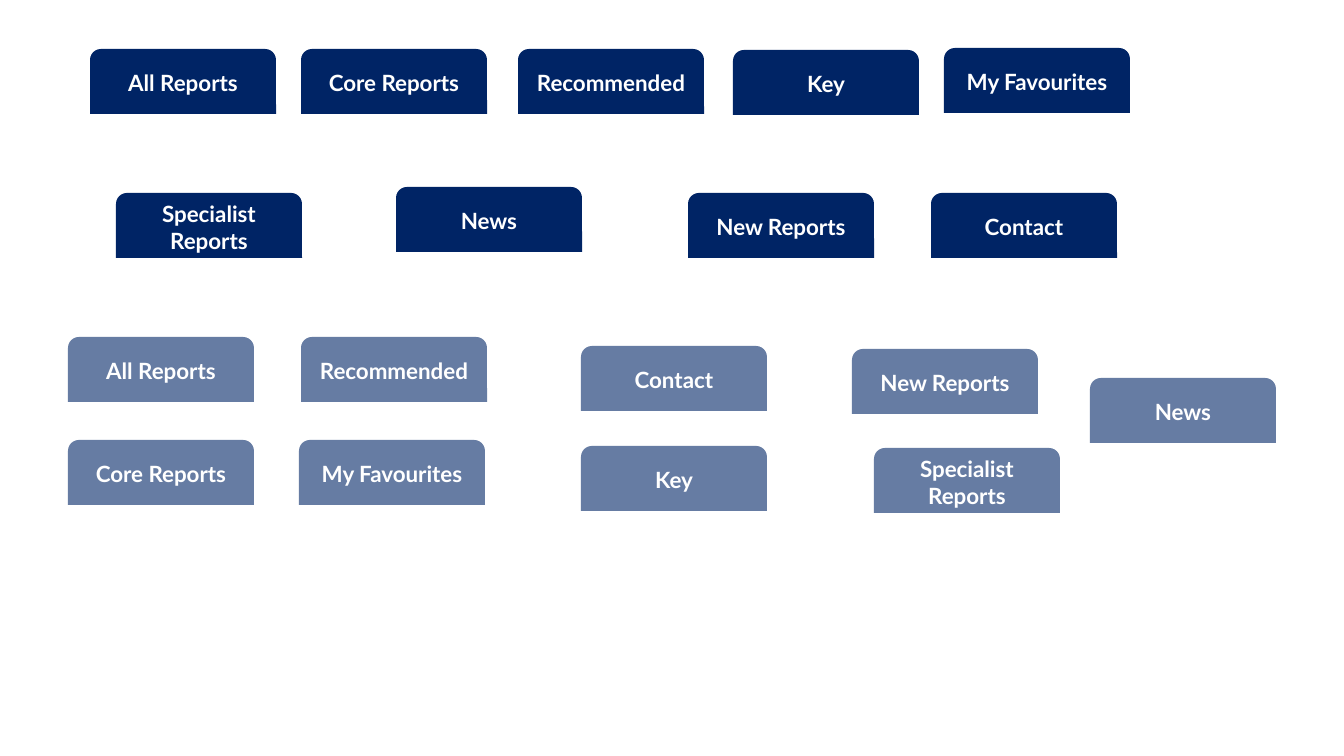
from pptx import Presentation
from pptx.dml.color import RGBColor
from pptx.enum.shapes import MSO_SHAPE
from pptx.enum.text import MSO_ANCHOR, PP_ALIGN
from pptx.util import Emu, Pt

NAVY = RGBColor(0x00, 0x24, 0x65)
SLATE = RGBColor(0x66, 0x7C, 0xA3)
WHITE = RGBColor(0xFF, 0xFF, 0xFF)

ACTIVE_TABS = [
    ("All Reports", 90, 49),
    ("Core Reports", 301, 49),
    ("Recommended", 518, 49),
    ("Key", 733, 50),
    ("My Favourites", 944, 48),
    ("Specialist Reports", 116, 193),
    ("News", 396, 187),
    ("New Reports", 688, 193),
    ("Contact", 931, 193),
]
INACTIVE_TABS = [
    ("All Reports", 68, 337),
    ("Recommended", 301, 337),
    ("Contact", 581, 346),
    ("New Reports", 852, 349),
    ("News", 1090, 378),
    ("Core Reports", 68, 440),
    ("My Favourites", 299, 440),
    ("Key", 581, 446),
    ("Specialist Reports", 874, 448),
]
TAB_GROUPS = [(NAVY, ACTIVE_TABS), (SLATE, INACTIVE_TABS)]

SLIDE_WIDTH, SLIDE_HEIGHT = 1344, 756
TAB_WIDTH, TAB_HEIGHT = 186, 65
EMU_PER_PX = 914400 / 100.8


def px(length):
    return Emu(round(length * EMU_PER_PX))


def add_tab(slide, label, left, top, color):
    shape = slide.shapes.add_shape(
        MSO_SHAPE.ROUND_2_SAME_RECTANGLE,
        px(left), px(top), px(TAB_WIDTH), px(TAB_HEIGHT),
    )
    shape.shadow.inherit = False
    shape.fill.solid()
    shape.fill.fore_color.rgb = color
    shape.line.fill.background()
    text_frame = shape.text_frame
    text_frame.text = label
    text_frame.word_wrap = True
    text_frame.vertical_anchor = MSO_ANCHOR.MIDDLE
    paragraph = text_frame.paragraphs[0]
    paragraph.alignment = PP_ALIGN.CENTER
    font = paragraph.runs[0].font
    font.name = "Lato"
    font.size = Pt(16)
    font.bold = True
    font.color.rgb = WHITE


def main():
    presentation = Presentation()
    presentation.slide_width = px(SLIDE_WIDTH)
    presentation.slide_height = px(SLIDE_HEIGHT)
    slide = presentation.slides.add_slide(presentation.slide_layouts[6])
    for color, tabs in TAB_GROUPS:
        for label, left, top in tabs:
            add_tab(slide, label, left, top, color)
    presentation.save("out.pptx")


if __name__ == "__main__":
    main()
